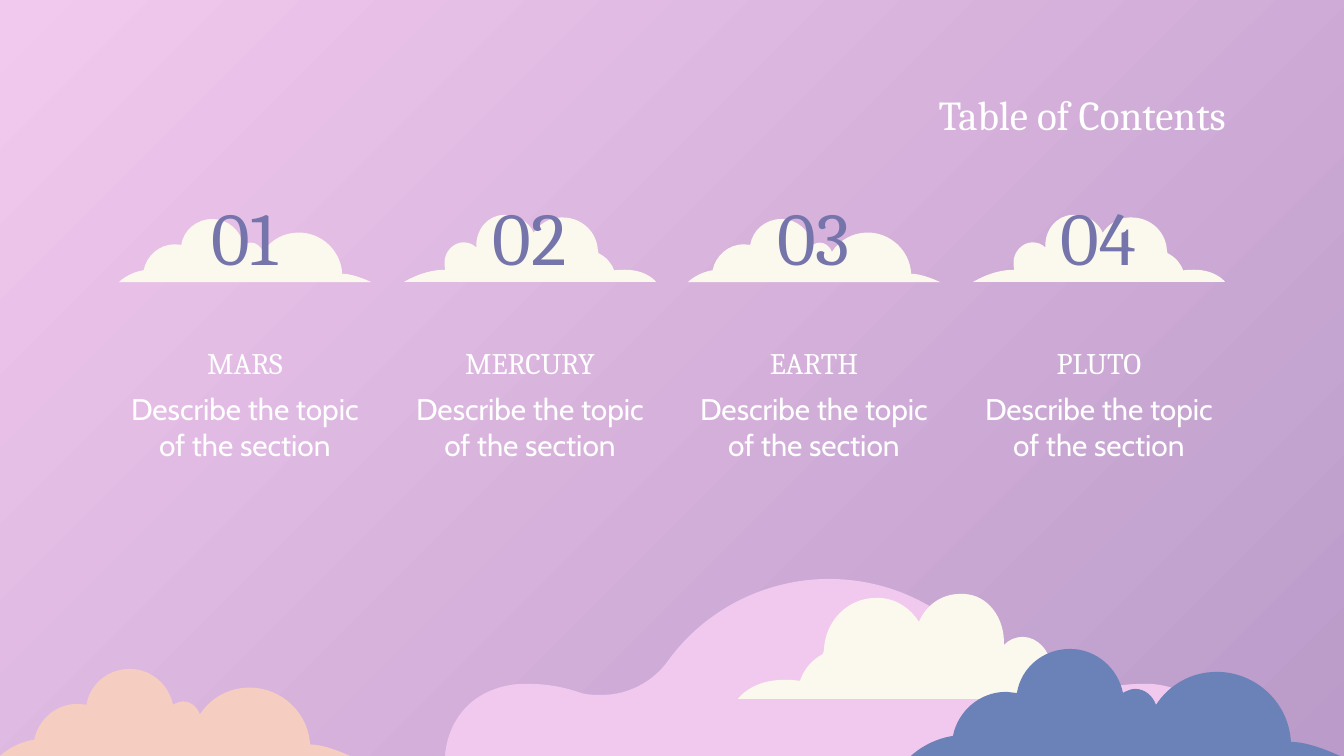
from dataclasses import dataclass

from lxml.etree import SubElement
from pptx import Presentation
from pptx.dml.color import RGBColor
from pptx.enum.text import MSO_ANCHOR as Anchor, PP_ALIGN as Align
from pptx.oxml.ns import qn
from pptx.util import Emu, Pt

EMU_PER_PX = 914400 / 134.4
COLORS = {
    "sky_light": "F2C9EE",
    "sky_dark": "BA9BC9",
    "pink": "F2C9EE",
    "cream": "FBF9ED",
    "blue": "6B82B8",
    "peach": "F5CEC1",
    "number": "7575AC",
    "white": "FFFFFF",
}


@dataclass(frozen=True)
class Outline:
    """A closed outline: pairs are line ends, sextets are cubic curves."""
    width: int
    height: int
    start: tuple[int, int]
    segments: tuple[tuple[int, ...], ...]


@dataclass(frozen=True)
class Cloud:
    outline: Outline
    left: int
    top: int
    width: int
    height: int
    color: str
    mirrored: bool = False


@dataclass(frozen=True)
class Label:
    text: str
    left: int
    top: int
    width: int
    height: int
    size: int
    font: str = "Cambria"
    color: str = "white"
    align: Align = Align.CENTER


@dataclass(frozen=True)
class Section:
    number: str
    name: str


HILL = Outline(781, 177, (384, 0), (
    (319, 0, 259, 32, 223, 82), (208, 103, 183, 116, 157, 116),
    (149, 116, 141, 116, 133, 113), (118, 108, 102, 105, 85, 105),
    (74, 105), (27, 109, 3, 141, 0, 177), (781, 177),
    (777, 141, 753, 109, 707, 105), (696, 105),
    (676, 105, 659, 109, 641, 114), (632, 117, 622, 120, 613, 120),
    (587, 120, 563, 108, 547, 85), (512, 34, 452, 0, 384, 0),
))
TWIN_PUFF = Outline(373, 105, (222, 0), (
    (204, 0, 188, 11, 181, 28), (173, 15, 159, 5, 142, 4), (138, 4),
    (110, 4, 87, 27, 86, 56), (85, 60), (74, 66, 66, 75, 62, 87),
    (55, 86, 51, 86, 46, 86), (13, 86, 0, 105, 0, 105), (373, 105),
    (348, 90, 328, 86, 312, 86), (313, 82, 313, 78, 313, 74),
    (313, 58, 300, 43, 285, 43), (277, 43, 271, 46, 266, 51),
    (267, 24, 250, 1, 226, 0),
))
WIDE_PUFF = Outline(429, 107, (159, 0), (
    (132, 0, 110, 19, 106, 44), (102, 44, 98, 43, 95, 43),
    (69, 43, 47, 62, 42, 87), (16, 91, 0, 107, 0, 107), (429, 107),
    (407, 97, 391, 93, 380, 93), (378, 54, 345, 23, 306, 23),
    (280, 23, 258, 36, 245, 56), (242, 47, 234, 40, 224, 40),
    (220, 40, 216, 42, 212, 44), (207, 19, 185, 0, 159, 0),
))

SCENERY = (
    Cloud(HILL, 445, 579, 781, 177, "pink"),
    Cloud(TWIN_PUFF, 738, 594, 373, 105, "cream"),
    Cloud(WIDE_PUFF, 911, 649, 429, 107, "blue"),
    Cloud(WIDE_PUFF, 0, 669, 350, 87, "peach"),
)
TITLE = Label("Table of Contents", 105, 79, 1134, 71, 22, align=Align.RIGHT)
SECTIONS = (
    Section("01", "MARS"),
    Section("02", "MERCURY"),
    Section("03", "EARTH"),
    Section("04", "PLUTO"),
)
DESCRIPTION = "Describe the topic of the section"
FIRST_LEFT, LAST_LEFT = 119, 973


def px(value: float) -> Emu:
    return Emu(round(value * EMU_PER_PX))


def rgb(name: str) -> RGBColor:
    return RGBColor.from_string(COLORS[name])


def place(cloud: Cloud, x: int, y: int) -> tuple[Emu, Emu]:
    """Scale an outline point to the cloud's own size."""
    outline = cloud.outline
    across = outline.width - x if cloud.mirrored else x
    return (px(across * cloud.width / outline.width),
            px(y * cloud.height / outline.height))


def draw_cloud(slide, cloud: Cloud) -> None:
    outline = cloud.outline
    builder = slide.shapes.build_freeform(*place(cloud, *outline.start))
    builder.add_line_segments(
        [place(cloud, *segment[-2:]) for segment in outline.segments])
    shape = builder.convert_to_shape(px(cloud.left), px(cloud.top))
    shape.shadow.inherit = False
    shape.fill.solid()
    shape.fill.fore_color.rgb = rgb(cloud.color)
    shape.line.fill.background()

    # Bend the straight segments that have control points
    lines = list(shape.element.iter(qn("a:lnTo")))
    for line, segment in zip(lines, outline.segments):
        if len(segment) == 2:
            continue
        curve = SubElement(line.getparent(), qn("a:cubicBezTo"))
        for x, y in zip(segment[::2], segment[1::2]):
            across, down = place(cloud, x, y)
            SubElement(curve, qn("a:pt"), x=str(across), y=str(down))
        line.getparent().replace(line, curve)


def draw_label(slide, label: Label) -> None:
    box = slide.shapes.add_textbox(px(label.left), px(label.top),
                                   px(label.width), px(label.height))
    frame = box.text_frame
    frame.word_wrap = True
    frame.vertical_anchor = Anchor.MIDDLE
    frame.margin_top = frame.margin_bottom = px(13)
    paragraph = frame.paragraphs[0]
    paragraph.alignment = label.align
    run = paragraph.add_run()
    run.text = label.text
    run.font.name = label.font
    run.font.size = Pt(label.size)
    run.font.color.rgb = rgb(label.color)


def draw_section(slide, section: Section, column: int) -> None:
    pitch = (LAST_LEFT - FIRST_LEFT) / (len(SECTIONS) - 1)
    left = round(FIRST_LEFT + column * pitch)
    # The two cloud forms alternate and share one base line
    if column % 2:
        draw_cloud(slide, Cloud(TWIN_PUFF, left, 215, 252, 67, "cream", True))
    else:
        draw_cloud(slide, Cloud(WIDE_PUFF, left, 219, 252, 63, "cream"))
    draw_label(slide, Label(section.number, left + 57, 188, 137, 95, 40,
                            color="number"))
    draw_label(slide, Label(section.name, left - 14, 331, 280, 63, 16))
    draw_label(slide, Label(DESCRIPTION, left - 14, 395, 280, 63, 16, "Cabin"))


def main() -> None:
    presentation = Presentation()
    presentation.slide_width, presentation.slide_height = px(1344), px(756)
    slide = presentation.slides.add_slide(presentation.slide_layouts[6])

    # Sky
    sky = slide.background.fill
    sky.gradient()
    sky.gradient_angle = 315
    for stop, name in zip(sky.gradient_stops, ("sky_light", "sky_dark")):
        stop.color.rgb = rgb(name)

    # Landscape along the bottom
    for cloud in SCENERY:
        draw_cloud(slide, cloud)

    # Title and sections
    draw_label(slide, TITLE)
    for column, section in enumerate(SECTIONS):
        draw_section(slide, section, column)

    presentation.save("out.pptx")


if __name__ == "__main__":
    main()
